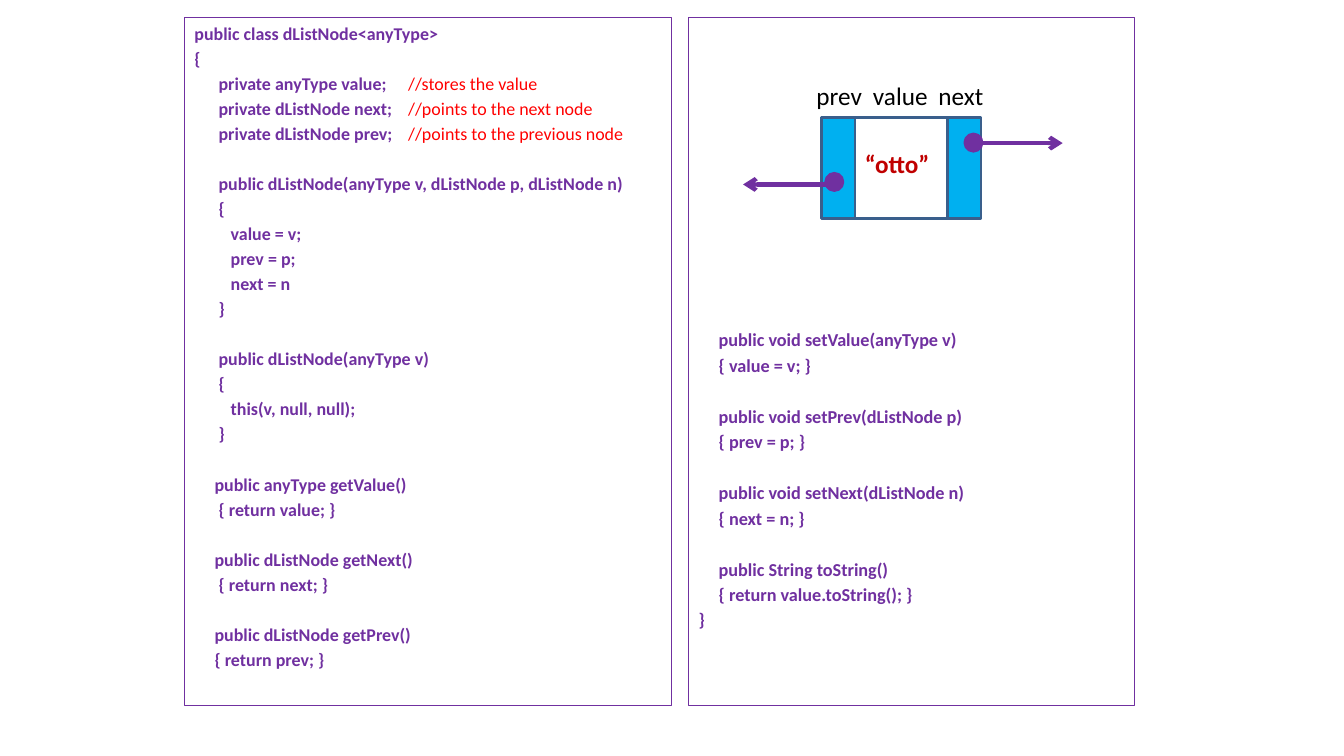
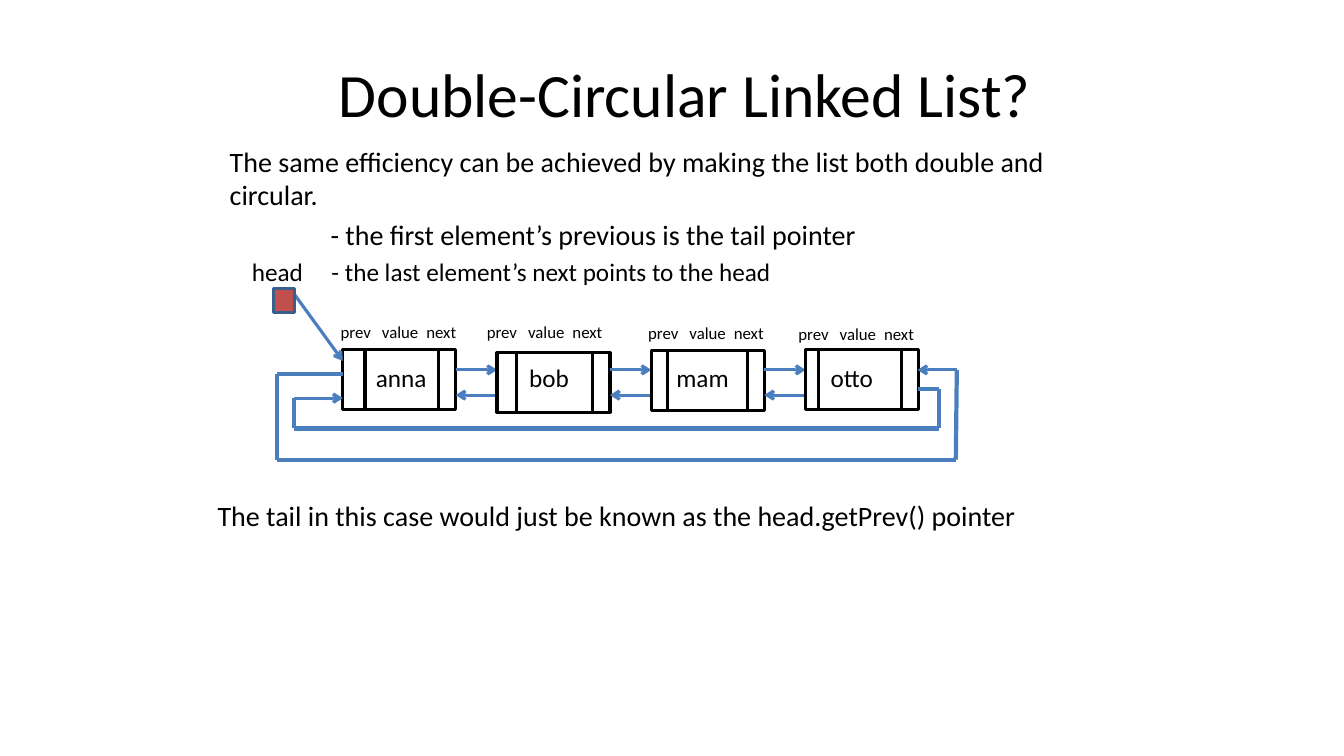
from dataclasses import dataclass
from itertools import pairwise

from lxml.etree import SubElement
from pptx import Presentation
from pptx.dml.color import RGBColor
from pptx.enum.shapes import MSO_CONNECTOR as Connector, MSO_SHAPE as Shape
from pptx.enum.text import MSO_ANCHOR as Anchor, PP_ALIGN as Align
from pptx.oxml.ns import qn
from pptx.util import Inches, Pt


@dataclass(frozen=True)
class Theme:
    font: str = "Calibri"
    ink: str = "000000"
    code: str = "7030A0"
    comment: str = "FF0000"
    value: str = "C00000"
    cell: str = "00B0F0"
    edge: str = "3A5F8C"
    link: str = "4B7EBC"
    head: str = "C0504D"
    title_pt: float = 44
    body_pt: float = 20
    label_pt: float = 18
    code_pt: float = 12.8
    setter_pt: float = 13
    small_pt: float = 12
    edge_pt: float = 2
    link_pt: float = 2.25
    heavy_pt: float = 3


THEME = Theme()

CODE_STEP = 0.04
CODE_GAP = 2.5
LINE_HEIGHT = 1.22
PANEL_TOP, PANEL_HEIGHT = 0.17, 6.83

CLASS_BLOCKS = [
    [(0, "public class dListNode<anyType>"),
     (0, "{"),
     (6, "private anyType value;"),
     (6, "private dListNode next;"),
     (6, "private dListNode prev;")],
    [(6, "public dListNode(anyType v, dListNode p, dListNode n)"),
     (6, "{"),
     (9, "value = v;"),
     (9, "prev = p;"),
     (9, "next = n"),
     (6, "}")],
    [(6, "public dListNode(anyType v)"),
     (6, "{"),
     (9, "this(v, null, null);"),
     (6, "}")],
    [(5, "public anyType getValue()"),
     (6, "{ return value; }")],
    [(5, "public dListNode getNext()"),
     (6, "{ return next; }")],
    [(5, "public dListNode getPrev()"),
     (5, "{ return prev; }")],
]
SETTER_BLOCKS = [
    [(5, "public void setValue(anyType v)"),
     (5, "{ value = v; }")],
    [(5, "public void setPrev(dListNode p)"),
     (5, "{ prev = p; }")],
    [(5, "public void setNext(dListNode n)"),
     (5, "{ next = n; }")],
    [(5, "public String toString()"),
     (5, "{ return value.toString(); }"),
     (0, "}")],
]
CODE_PANELS = [
    (1.83, 4.83, 0.05, THEME.code_pt, CLASS_BLOCKS),
    (6.83, 4.42, 3.09, THEME.setter_pt, SETTER_BLOCKS),
]
COMMENTS = ["//stores the value", "//points to the next node", "//points to the previous node"]
COMMENT_LEFT, COMMENT_WIDTH, COMMENT_ROW = 3.95, 2.7, 2

FIELDS = ["prev", "value", "next"]
CELLS = [(0.33, THEME.cell), (0.92, None), (0.33, THEME.cell)]
CELL_LEFT, CELL_TOP, CELL_HEIGHT = 8.15, 1.17, 1
CELL_FIELDS = (0, 0.56, 1.21)
DOTS = [(9.57, 1.33), (8.19, 1.72)]
DOT_SIZE = 0.17
POINTERS = [((9.73, 1.42), (10.54, 1.42)), ((8.29, 1.83), (7.37, 1.83))]

TITLE = "Double-Circular Linked List?"
BODY = [
    ("The same efficiency can be achieved by making the list both double and circular.",
     0, THEME.body_pt),
    ("- the first element’s previous is the tail pointer", 1, THEME.body_pt),
    ("- the last element’s next points to the head", 1.01, THEME.label_pt),
]
CLOSING = "The tail in this case would just be known as the head.getPrev() pointer"

NODES = [
    ("anna", 0.33, 3.47, 3.28, 3.14),
    ("bob", 0.32, 3.5, 4.73, 3.14),
    ("mam", 0.25, 3.48, 6.33, 3.15),
    ("otto", 0.25, 3.47, 7.82, 3.16),
]
NODE_LEFT, NODE_PITCH, NODE_WIDTH, NODE_HEIGHT = 3.4, 1.53, 1.12, 0.59
DIVIDER_LEFT, DIVIDER_PITCH, NEXT_WIDTH = 3.62, 1.5, 0.17
NODE_FIELDS = (0, 0.41, 0.85)
NEXT_Y, PREV_Y = 3.67, 3.92
LOOPS = [
    [(3.4, 3.71), (2.75, 3.71), (2.75, 4.56), (9.48, 4.56), (9.49, 3.67), (9.1, 3.67)],
    [(9.1, 3.86), (9.31, 3.86), (9.31, 4.25), (2.92, 4.25), (2.92, 3.95), (3.4, 3.95)],
]


def rgb(color):
    return RGBColor.from_string(color)


def fill_paragraph(paragraph, text, size, color, bold=False, indent=0):
    paragraph.text = text
    paragraph.alignment = Align.LEFT
    properties = paragraph._p.get_or_add_pPr()
    properties.set("marL", str(Inches(indent)))
    properties.set("indent", "0")
    font = paragraph.runs[0].font
    font.name = THEME.font
    font.size = Pt(size)
    font.bold = bold
    font.color.rgb = rgb(color)


def next_paragraph(frame, index, gap):
    if not index:
        return frame.paragraphs[0]
    paragraph = frame.add_paragraph()
    paragraph.space_before = Pt(gap)
    return paragraph


def box(slide, left, top, width, height, line, weight, fill=None, kind=Shape.RECTANGLE):
    shape = slide.shapes.add_shape(kind, *map(Inches, (left, top, width, height)))
    shape.shadow.inherit = False
    shape.line.color.rgb = rgb(line)
    shape.line.width = Pt(weight)
    if fill:
        shape.fill.solid()
        shape.fill.fore_color.rgb = rgb(fill)
    else:
        shape.fill.background()
    return shape


def text_area(slide, left, top, width, height):
    frame = slide.shapes.add_textbox(*map(Inches, (left, top, width, height))).text_frame
    frame.word_wrap = True
    return frame


def label(slide, text, left, top, width, height, size, color=THEME.ink, bold=False):
    frame = text_area(slide, left, top, width, height)
    fill_paragraph(frame.paragraphs[0], text, size, color, bold)
    return frame


def field_labels(slide, left, top, offsets, size):
    for field, offset in zip(FIELDS, offsets):
        label(slide, field, left + offset, top, size * 0.05, size * 0.02, size)


def line(slide, start, end, color, weight, arrow=False):
    connector = slide.shapes.add_connector(
        Connector.STRAIGHT, *map(Inches, (*start, *end)))
    connector.line.color.rgb = rgb(color)
    connector.line.width = Pt(weight)
    if arrow:
        SubElement(connector.line._get_or_add_ln(), qn("a:tailEnd"), type="arrow")
    SubElement(connector._element.spPr, qn("a:effectLst"))


def code_panel(slide, left, width, inset, size, blocks):
    panel = box(slide, left, PANEL_TOP, width, PANEL_HEIGHT, THEME.code, 0.75)
    frame = panel.text_frame
    frame.word_wrap = True
    frame.vertical_anchor = Anchor.TOP
    frame.margin_top = Inches(inset)
    block_gap = CODE_GAP * 2 + size * LINE_HEIGHT
    for block_index, block in enumerate(blocks):
        for row, (steps, statement) in enumerate(block):
            paragraph = next_paragraph(frame, block_index + row, CODE_GAP if row else block_gap)
            fill_paragraph(paragraph, statement, size, THEME.code, True, steps * CODE_STEP)


def comment_column(slide):
    pitch = (THEME.code_pt * LINE_HEIGHT + CODE_GAP) / 72
    frame = text_area(slide, COMMENT_LEFT, PANEL_TOP + COMMENT_ROW * pitch,
                      COMMENT_WIDTH, len(COMMENTS) * pitch + 0.1)
    for index, comment in enumerate(COMMENTS):
        paragraph = next_paragraph(frame, index, CODE_GAP)
        fill_paragraph(paragraph, comment, THEME.code_pt, THEME.comment)


def build_class_slide(slide):
    for panel in CODE_PANELS:
        code_panel(slide, *panel)
    comment_column(slide)
    left = CELL_LEFT
    for width, fill in CELLS:
        box(slide, left, CELL_TOP, width, CELL_HEIGHT, THEME.edge, THEME.edge_pt, fill)
        left += width
    for x, y in DOTS:
        box(slide, x, y, DOT_SIZE, DOT_SIZE, THEME.code, THEME.edge_pt, THEME.code, Shape.OVAL)
    field_labels(slide, 8, 0.75, CELL_FIELDS, THEME.label_pt)
    for start, end in POINTERS:
        line(slide, start, end, THEME.code, THEME.heavy_pt, True)
    label(slide, "“otto”", 8.48, 1.42, 0.92, 0.4, THEME.label_pt, THEME.value, True)


def build_list_slide(slide):
    title = label(slide, TITLE, 2.17, 0.3, 9.25, 1.25, THEME.title_pt)
    title.vertical_anchor = Anchor.MIDDLE
    title.paragraphs[0].alignment = Align.CENTER

    body = text_area(slide, 2.18, 1.38, 9, 1.75)
    for index, (text, indent, size) in enumerate(BODY):
        paragraph = next_paragraph(body, index, size * 0.22)
        fill_paragraph(paragraph, text, size, THEME.ink, indent=indent)

    for index, (name, name_left, top, fields_left, fields_top) in enumerate(NODES):
        left = NODE_LEFT + index * NODE_PITCH
        right = left + NODE_WIDTH
        box(slide, left, top, NODE_WIDTH, NODE_HEIGHT, THEME.ink, THEME.link_pt)
        for x in (DIVIDER_LEFT + index * DIVIDER_PITCH, right - NEXT_WIDTH):
            line(slide, (x, top), (x, top + NODE_HEIGHT), THEME.ink, THEME.link_pt)
        label(slide, name, left + name_left - 0.1, 3.55, 0.9, 0.4, THEME.label_pt)
        field_labels(slide, fields_left, fields_top, NODE_FIELDS, THEME.small_pt)
        if index < len(NODES) - 1:
            following = left + NODE_PITCH
            line(slide, (right, NEXT_Y), (following, NEXT_Y), THEME.link, THEME.link_pt, True)
            line(slide, (following, PREV_Y), (right, PREV_Y), THEME.link, THEME.link_pt, True)

    for loop in LOOPS:
        for start, end in pairwise(loop):
            last = end == loop[-1]
            weight = THEME.link_pt if last else THEME.heavy_pt
            line(slide, start, end, THEME.link, weight, last)

    label(slide, "head", 2.4, 2.49, 0.8, 0.4, THEME.label_pt)
    line(slide, (2.92, 2.92), (3.4, 3.58), THEME.link, THEME.link_pt, True)
    box(slide, 2.71, 2.86, 0.21, 0.24, THEME.edge, THEME.edge_pt, THEME.head)
    label(slide, CLOSING, 2.06, 4.9, 9.1, 0.44, THEME.body_pt)


def main():
    deck = Presentation()
    deck.slide_width, deck.slide_height = Inches(13.33), Inches(7.5)
    for build in (build_class_slide, build_list_slide):
        build(deck.slides.add_slide(deck.slide_layouts[6]))
    deck.save("out.pptx")


if __name__ == "__main__":
    main()
